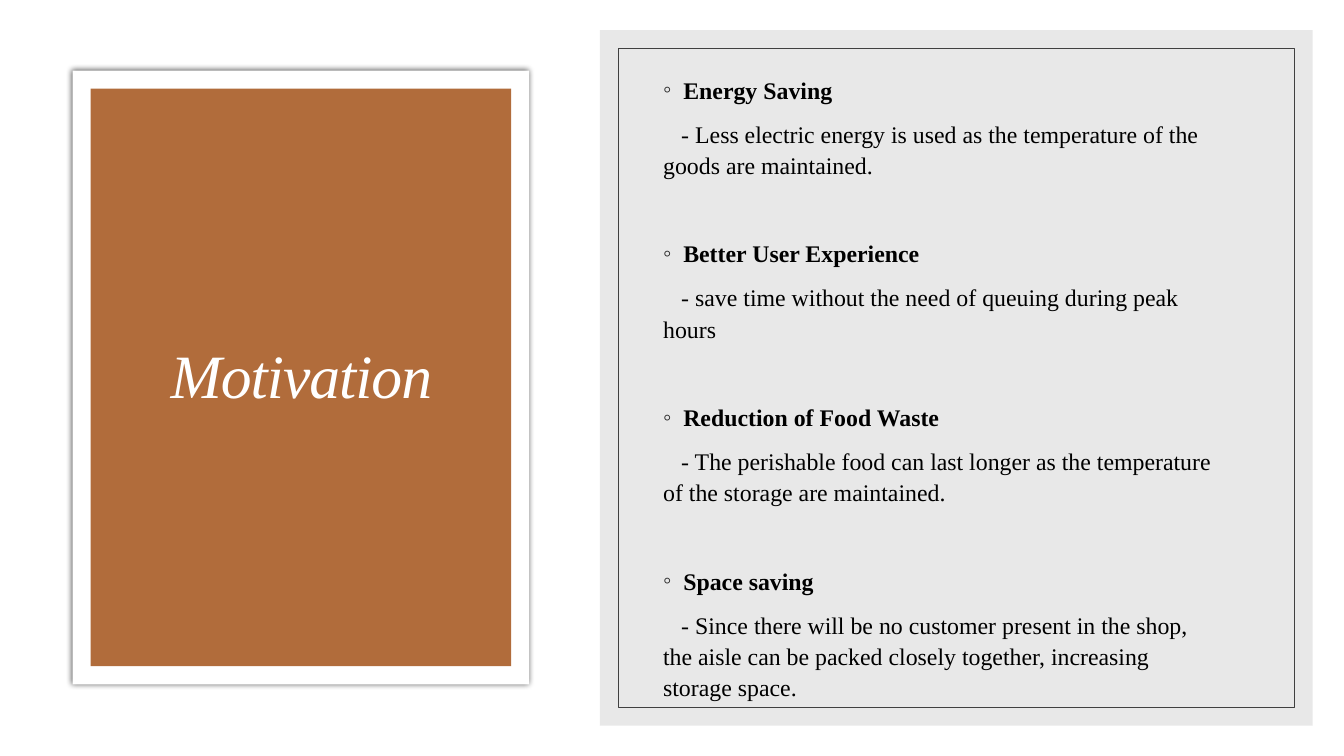
from dataclasses import dataclass

import pptx
import pptx.dml.color
import pptx.enum.shapes
import pptx.enum.text
import pptx.oxml
import pptx.oxml.ns
import pptx.util

ALIGN = pptx.enum.text.PP_ALIGN
ANCHOR = pptx.enum.text.MSO_ANCHOR


@dataclass(frozen=True)
class Theme:
    font: str = "Times New Roman"
    white: str = "FFFFFF"
    accent: str = "B16C3B"
    panel: str = "D9D9D9"
    outline: str = "404040"
    bullet: str = "262626"
    text: str = "000000"
    title_size: float = 44
    body_size: float = 17
    body_leading: float = 1.1
    paragraph_gap: float = 9
    topic_gap: float = 40.5


REASONS = [
    ("Energy Saving",
     "- Less electric energy is used as the temperature of the goods are maintained."),
    ("Better User Experience",
     "- save time without the need of queuing during peak hours"),
    ("Reduction of Food Waste",
     "- The perishable food can last longer as the temperature of the storage are maintained."),
    ("Space saving",
     "- Since there will be no customer present in the shop, the aisle can be packed closely "
     "together, increasing storage space."),
]

# Boxes are left, top, width, height in percent of the slide.
CARD = (5.4, 9.33, 33.98, 81.2)
TITLE = (8.1, 17.33, 28.65, 65.47)
PANEL = (44.63, 4, 53.03, 92)
BODY = (48.6, 9.6, 42.45, 83.33)


def inner(box):
    """Shrink a box by the same 0.18 inch on every side."""
    left, top, width, height = box
    return left + 1.35, top + 2.4, width - 2.7, height - 4.8


def rgb(color):
    return pptx.dml.color.RGBColor.from_string(color)


def append_xml(parent, tag, content):
    namespace = pptx.oxml.ns.nsdecls("a")
    parent.append(pptx.oxml.parse_xml(f"<a:{tag} {namespace}{content}"))


class SlideBuilder:
    def __init__(self, presentation, theme):
        self.theme = theme
        self.width = presentation.slide_width
        self.height = presentation.slide_height
        self.slide = presentation.slides.add_slide(presentation.slide_layouts[5])
        background = self.slide.background.fill
        background.solid()
        background.fore_color.rgb = rgb(theme.white)

    def place(self, box):
        """Turn percent shares into slide lengths."""
        sides = (self.width, self.height) * 2
        return [pptx.util.Emu(round(share * side / 100)) for share, side in zip(box, sides)]

    def rectangle(self, box, fill=None, line=None, opacity=None, glow=False):
        shape = self.slide.shapes.add_shape(
            pptx.enum.shapes.MSO_SHAPE.RECTANGLE, *self.place(box))
        shape.shadow.inherit = False
        if fill:
            shape.fill.solid()
            shape.fill.fore_color.rgb = rgb(fill)
        else:
            shape.fill.background()
        if line:
            shape.line.color.rgb = rgb(line)
            shape.line.width = pptx.util.Pt(0.5)
        else:
            shape.line.fill.background()
        properties = shape._element.spPr
        if opacity:
            color = properties.find(".//" + pptx.oxml.ns.qn("a:srgbClr"))
            append_xml(color, "alpha", f' val="{opacity * 1000}"/>')
        if glow:
            effects = properties.find(pptx.oxml.ns.qn("a:effectLst"))
            append_xml(effects, "outerShdw",
                       f' blurRad="{pptx.util.Pt(4)}" dist="0" algn="ctr" rotWithShape="0">'
                       f'<a:srgbClr val="{self.theme.text}"><a:alpha val="66000"/></a:srgbClr>'
                       "</a:outerShdw>")

    def style_runs(self, paragraph, size, color, bold=False, italic=False):
        for run in paragraph.runs:
            run.font.name = self.theme.font
            run.font.size = pptx.util.Pt(size)
            run.font.color.rgb = rgb(color)
            run.font.bold = bold
            run.font.italic = italic

    def title(self, box, text):
        shape = self.slide.shapes.title
        shape.left, shape.top, shape.width, shape.height = self.place(box)
        self.slide.shapes._spTree.append(shape._element)  # bring in front of the card
        frame = shape.text_frame
        frame.text = text
        frame.word_wrap = True
        frame.auto_size = pptx.enum.text.MSO_AUTO_SIZE.NONE
        frame.vertical_anchor = ANCHOR.MIDDLE
        paragraph = frame.paragraphs[0]
        paragraph.alignment = ALIGN.CENTER
        paragraph.line_spacing = 0.9
        self.style_runs(paragraph, self.theme.title_size, self.theme.white, italic=True)
        paragraph.runs[0].font._element.set("spc", "-70")

    def reasons(self, box, reasons):
        """Write each topic as a bold bullet with its explanation below."""
        frame = self.slide.shapes.add_textbox(*self.place(box)).text_frame
        frame.word_wrap = True
        frame.vertical_anchor = ANCHOR.TOP
        frame.margin_top = frame.margin_bottom = 0
        for index, (topic, explanation) in enumerate(reasons):
            heading = frame.add_paragraph() if index else frame.paragraphs[0]
            self.body_paragraph(heading, topic, self.theme.topic_gap if index else 0, True)
            self.body_paragraph(
                frame.add_paragraph(), explanation, self.theme.paragraph_gap, False)

    def body_paragraph(self, paragraph, text, gap, is_topic):
        paragraph.text = text
        paragraph.alignment = ALIGN.LEFT
        paragraph.line_spacing = self.theme.body_leading
        paragraph.space_before = pptx.util.Pt(gap)
        properties = paragraph._p.get_or_add_pPr()
        hanging = pptx.util.Inches(0.2)
        properties.set("marL", str(hanging if is_topic else 0))
        properties.set("indent", str(-hanging if is_topic else pptx.util.Inches(0.18)))
        if is_topic:
            append_xml(properties, "buClr",
                       f'><a:srgbClr val="{self.theme.bullet}"/></a:buClr>')
            append_xml(properties, "buFont", f' typeface="{self.theme.font}"/>')
            append_xml(properties, "buChar", ' char="◦"/>')
        else:
            append_xml(properties, "buNone", "/>")
        self.style_runs(paragraph, self.theme.body_size, self.theme.text, bold=is_topic)


def main():
    presentation = pptx.Presentation()
    presentation.slide_width = pptx.util.Inches(13.33)
    presentation.slide_height = pptx.util.Inches(7.5)
    theme = Theme()
    builder = SlideBuilder(presentation, theme)
    builder.rectangle(CARD, fill=theme.white, glow=True)
    builder.rectangle(inner(CARD), fill=theme.accent)
    builder.title(TITLE, "Motivation")
    builder.rectangle(PANEL, fill=theme.panel, opacity=60)
    builder.rectangle(inner(PANEL), line=theme.outline)
    builder.reasons(BODY, REASONS)
    presentation.save("out.pptx")


if __name__ == "__main__":
    main()
